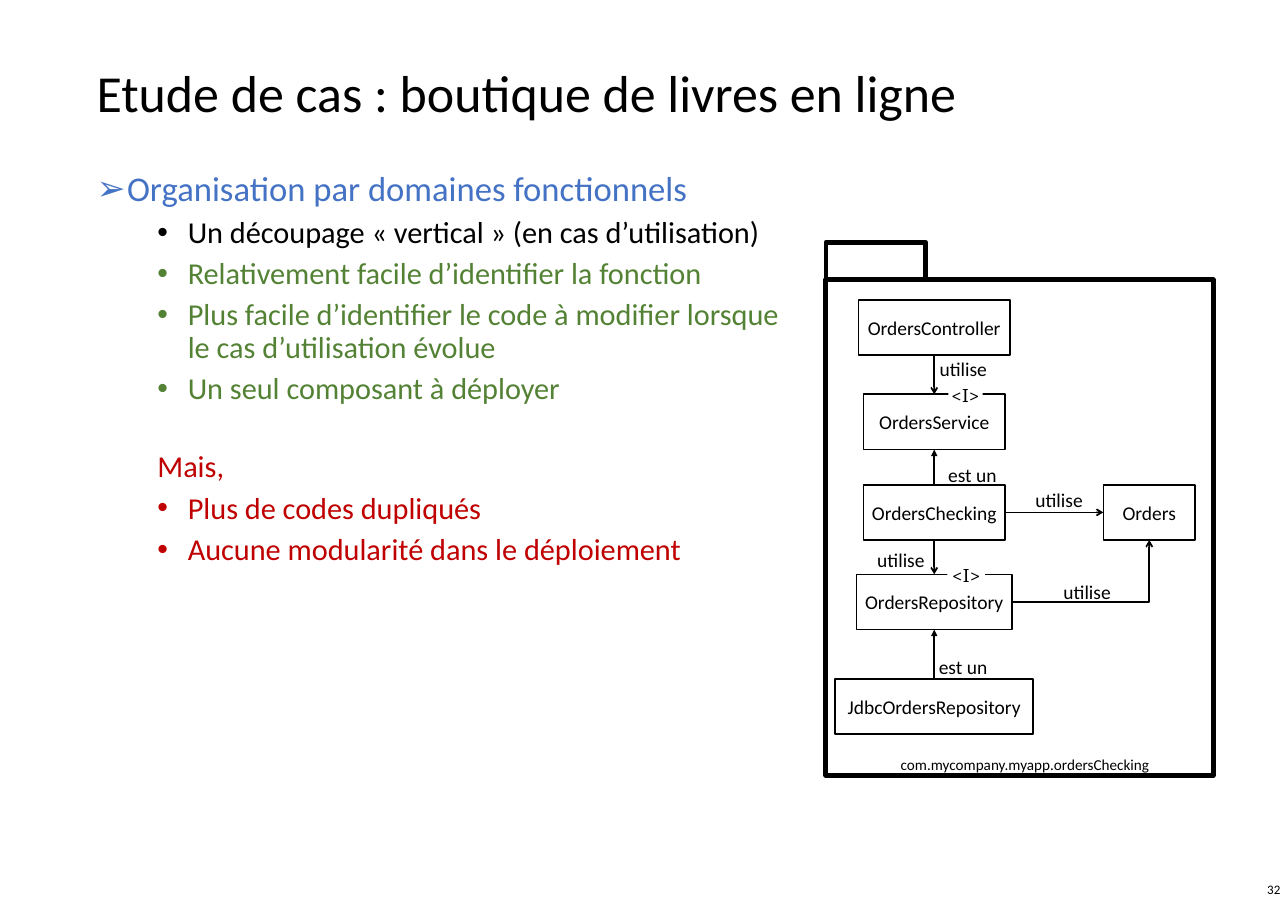
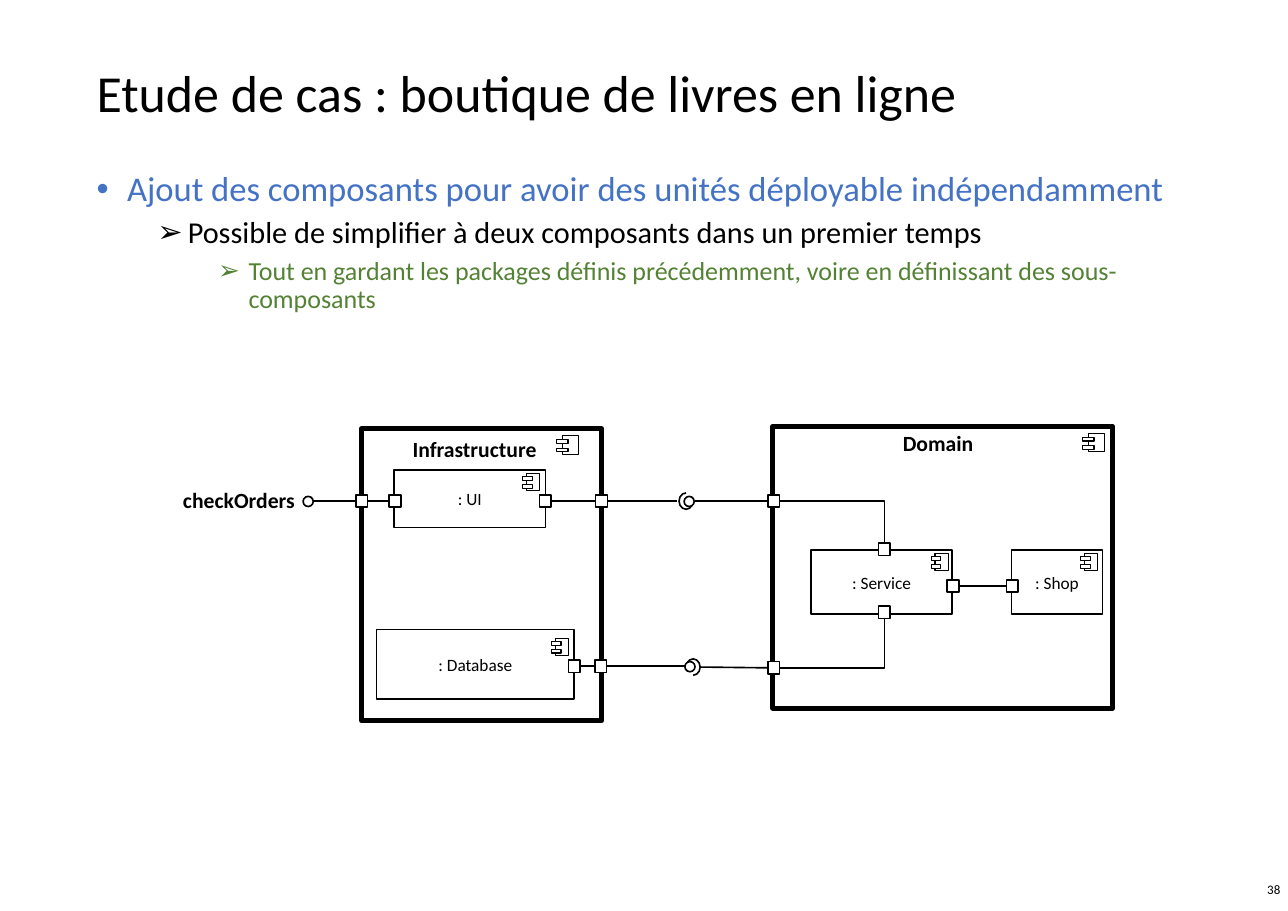
from lxml import etree
from pptx import Presentation
from pptx import util as u
from pptx.dml.color import RGBColor
from pptx.enum import shapes, text
from pptx.oxml.ns import qn

# Shared style: lengths are px, 100 to the inch
SCALE = 9144
WIDTH, HEIGHT = 1653, 1169
FONT, SYMBOL_FONT = "Calibri", "Cambria"
BLACK, WHITE, BLUE, GREEN, RED = "000000", "FFFFFF", "4472C4", "548235", "C00000"
TITLE = "Etude de cas : boutique de livres en ligne"
TITLE_AT = (114, 62, 1426, 122)
NUMBER_AT = (1281, 1110, 372, 62)
LEVEL_SIZES = (32, 28, 24)
LEVEL_STEP, HANG = 78, 39
THIN, NORMAL, THICK = 1, 1.5, 4.5
TOP, LEFT, BOTTOM, RIGHT = range(4)
RECT = shapes.MSO_SHAPE.RECTANGLE
FRAME = shapes.MSO_SHAPE.FLOWCHART_PROCESS
ALIGN = text.PP_ALIGN

# Slide 1: level, bullet, colour, text
DOMAIN_LIST = [
    (0, "➢", BLUE, "Organisation par domaines fonctionnels"),
    (1, "•", BLACK, "Un découpage « vertical » (en cas d’utilisation)"),
    (1, "•", GREEN, "Relativement facile d’identifier la fonction"),
    (1, "•", GREEN, "Plus facile d’identifier le code à modifier lorsque le cas d’utilisation évolue"),
    (1, "•", GREEN, "Un seul composant à déployer"),
    (1, None, RED, "Mais,"),
    (1, "•", RED, "Plus de codes dupliqués"),
    (1, "•", RED, "Aucune modularité dans le déploiement"),
]
CLASS_HEIGHT = 71
# name: centre x, top, width
CLASSES = {
    "OrdersController": (1199, 385, 194),
    "OrdersService": (1199, 506, 182),
    "OrdersChecking": (1199, 622, 182),
    "OrdersRepository": (1199, 737, 200),
    "JdbcOrdersRepository": (1199, 871, 254),
    "Orders": (1475, 622, 118),
}
INTERFACE_MARKS = [(1217, 491, 44, 30), (1216, 722, 48, 30)]
CLASS_LINKS = [
    (("OrdersController", BOTTOM), ("OrdersService", TOP), "arrow"),
    (("OrdersChecking", TOP), ("OrdersService", BOTTOM), "triangle"),
    (("OrdersChecking", BOTTOM), ("OrdersRepository", TOP), "arrow"),
    (("JdbcOrdersRepository", TOP), ("OrdersRepository", BOTTOM), "triangle"),
    (("OrdersChecking", RIGHT), ("Orders", LEFT), "arrow"),
    (("OrdersRepository", RIGHT), ("Orders", BOTTOM), "arrow"),
]
LINK_LABELS = [
    ("utilise", 1196, 453), ("est un", 1207, 589), ("utilise", 1116, 698),
    ("est un", 1195, 836), ("utilise", 1355, 739), ("utilise", 1319, 621),
]
PACKAGE_FRAMES = [(1060, 359, 497, 636), (1060, 311, 128, 48)]

# Slide 2
COMPONENT_LIST = [
    (0, "•", BLUE, "Ajout des composants pour avoir des unités déployable indépendamment"),
    (1, "➢", BLACK, "Possible de simplifier à deux composants dans un premier temps"),
    (2, "➢", GREEN, "Tout en gardant les packages définis précédemment, "
                    "voire en définissant des sous-composants"),
]
PARTS = [
    (": UI", (506, 603, 194, 74)),
    (": Service", (1041, 706, 181, 82)),
    (": Shop", (1298, 706, 117, 82)),
    (": Database", (483, 808, 254, 89)),
]
COMPONENT_FRAMES = [(464, 550, 308, 375), (992, 547, 436, 362)]
COMPONENT_NAMES = [("Infrastructure", (462, 555, 294, 44)), ("Domain", (981, 547, 446, 44))]
BIG_ICONS = [(722, 559), (1397, 556)]
SMALL_ICONS = [(676, 608), (713, 819), (1200, 710), (1392, 710)]
PORT_SIZE = (15, 16)
# name: centre
PORTS = {
    "infra in": (464, 643), "ui in": (507, 643),
    "ui out": (700, 643), "infra top": (772, 643),
    "database out": (737, 855), "infra bottom": (771, 855),
    "domain top": (993, 643), "domain bottom": (993, 857),
    "service top": (1135, 705), "service bottom": (1135, 786),
    "service right": (1223, 752), "shop left": (1299, 752),
}
PORT_LINKS = [
    ((402, 643), ("infra in", LEFT)),
    (("infra in", RIGHT), ("ui in", LEFT)),
    (("ui out", RIGHT), ("infra top", LEFT)),
    (("infra top", RIGHT), (869, 643)),
    ((892, 643), ("domain top", LEFT)),
    (("database out", RIGHT), ("infra bottom", LEFT)),
    (("infra bottom", RIGHT), (879, 855)),
    ((899, 856), ("domain bottom", LEFT)),
    (("service right", RIGHT), ("shop left", LEFT)),
    (("domain top", RIGHT), ("service top", TOP)),
    (("domain bottom", RIGHT), ("service bottom", BOTTOM)),
]
SOCKETS = [((870, 634, 21, 18), 270), ((879, 847, 21, 18), 90)]
SOCKET_START = 112.56
BALLS = [(878, 637), (879, 849), (389, 637)]
BALL_SIZE = 13


def px(*values):
    return [u.Emu(round(v * SCALE)) for v in values]


def rgb(color):
    return RGBColor.from_string(color)


def place(sp, box):
    sp.left, sp.top, sp.width, sp.height = px(*box)


def add_run(p, words, size, color=BLACK, bold=False, font=FONT):
    r = p.add_run()
    r.text = words
    r.font.size, r.font.name, r.font.bold = u.Pt(size), font, bold
    r.font.color.rgb = rgb(color)


def add_box(s, box, kind=RECT, fill=WHITE, line=NORMAL):
    sp = s.shapes.add_shape(kind, *px(*box))
    sp.shadow.inherit = False
    if fill:
        sp.fill.solid()
        sp.fill.fore_color.rgb = rgb(fill)
    else:
        sp.fill.background()
    if line:
        sp.line.color.rgb = rgb(BLACK)
        sp.line.width = u.Pt(line)
    else:
        sp.line.fill.background()
    return sp


def write(sp, words, size, align=ALIGN.CENTER, anchor=text.MSO_ANCHOR.MIDDLE, wrap=True, **style):
    tf = sp.text_frame
    tf.word_wrap, tf.vertical_anchor = wrap, anchor
    tf.paragraphs[0].alignment = align
    add_run(tf.paragraphs[0], words, size, **style)


def add_label(s, box, words, size, align=ALIGN.LEFT, wrap=False, anchor=text.MSO_ANCHOR.TOP, **style):
    write(s.shapes.add_textbox(*px(*box)), words, size, align, anchor, wrap, **style)


def site(sp, side):
    x, y = sp.left + sp.width // 2, sp.top + sp.height // 2
    return {TOP: (x, sp.top), LEFT: (sp.left, y),
            BOTTOM: (x, sp.top + sp.height), RIGHT: (sp.left + sp.width, y)}[side]


def add_link(s, named, start, end, tail=None):
    """Join two ends, each a (name, side) pair or a point."""
    glued = [isinstance(e[0], str) for e in (start, end)]
    a, b = [site(named[e[0]], e[1]) if g else px(*e) for e, g in zip((start, end), glued)]
    bent = glued[1] and start[1] == RIGHT and end[1] in (TOP, BOTTOM)
    kind = shapes.MSO_CONNECTOR.ELBOW if bent else shapes.MSO_CONNECTOR.STRAIGHT
    c = s.shapes.add_connector(kind, *a, *b)
    if glued[0]:
        c.begin_connect(named[start[0]], start[1])
    if glued[1]:
        c.end_connect(named[end[0]], end[1])
    c.line.color.rgb = rgb(BLACK)
    c.line.width = u.Pt(NORMAL)
    spPr = c._element.spPr
    if bent:
        spPr.find(qn("a:prstGeom")).set("prst", "bentConnector2")
    if tail:
        etree.SubElement(spPr.find(qn("a:ln")), qn("a:tailEnd"), type=tail)
    etree.SubElement(spPr, qn("a:effectLst"))


def fill_list(body, items):
    tf = body.text_frame
    tf.auto_size, tf.word_wrap = text.MSO_AUTO_SIZE.NONE, True
    for i, (level, bullet, color, words) in enumerate(items):
        p = tf.paragraphs[0] if i == 0 else tf.add_paragraph()
        p.level, p.line_spacing = level, 0.9
        # An unbulleted line opens a new group
        p.space_before = u.Pt(0 if i == 0 else 7.8 if bullet else 42)
        pPr = p._p.get_or_add_pPr()
        hang = HANG if bullet else 0
        margin, indent = px(LEVEL_STEP * level + hang, -hang)
        pPr.set("marL", str(margin))
        pPr.set("indent", str(indent))
        if bullet:
            etree.SubElement(pPr, qn("a:buChar"), char=bullet)
        else:
            etree.SubElement(pPr, qn("a:buNone"))
        add_run(p, words, LEVEL_SIZES[level], color)


def add_slide(prs, number, items, body_box):
    s = prs.slides.add_slide(prs.slide_layouts[1])
    title, body = s.placeholders
    place(title, TITLE_AT)
    write(title, TITLE, 48, ALIGN.LEFT)
    title.text_frame.paragraphs[0].line_spacing = 0.9
    place(body, body_box)
    fill_list(body, items)
    add_label(s, NUMBER_AT, number, 12, ALIGN.RIGHT, True, text.MSO_ANCHOR.MIDDLE)
    return s


def add_icon(s, x, y, body, tab, tab_offsets):
    add_box(s, (x, y, *body), line=THIN)
    for dx, dy in tab_offsets:
        add_box(s, (x + dx, y + dy, *tab), line=THIN)


def build_package_slide(prs):
    s = add_slide(prs, "32", DOMAIN_LIST, (114, 215, 917, 863))
    named = {}
    for name, (x, y, w) in CLASSES.items():
        named[name] = add_box(s, (x - w / 2, y, w, CLASS_HEIGHT))
        write(named[name], name, 18)
    for link in CLASS_LINKS:
        add_link(s, named, *link)
    for box in INTERFACE_MARKS:
        sp = add_box(s, box, line=None)
        tf = sp.text_frame
        tf.margin_left = tf.margin_right = tf.margin_top = tf.margin_bottom = 0
        write(sp, "<I>", 18, anchor=text.MSO_ANCHOR.TOP, font=SYMBOL_FONT)
    for words, x, y in LINK_LABELS:
        add_label(s, (x, y, 82, 40), words, 18)
    for box in PACKAGE_FRAMES:
        add_box(s, box, FRAME, None, THICK)
    add_label(s, (1146, 964, 342, 34), "com.mycompany.myapp.ordersChecking", 14)


def build_component_slide(prs):
    s = add_slide(prs, "38", COMPONENT_LIST, (114, 215, 1426, 838))
    for words, box in PARTS:
        write(add_box(s, box), words, 16)
    for box in COMPONENT_FRAMES:
        add_box(s, box, FRAME, None, THICK)
    for words, box in COMPONENT_NAMES:
        add_label(s, box, words, 20, ALIGN.CENTER, True, bold=True)
    add_label(s, (225, 620, 165, 44), "checkOrders", 20, bold=True)
    # Component icons
    for x, y in BIG_ICONS:
        add_icon(s, x, y, (21, 24), (15, 5), [(-8, 16), (-8, 5)])
    for x, y in SMALL_ICONS:
        add_icon(s, x, y, (17, 22), (12, 5), [(-5, 14), (-5, 4)])
    # Ports and their links
    w, h = PORT_SIZE
    named = {name: add_box(s, (x - w / 2, y - h / 2, w, h)) for name, (x, y) in PORTS.items()}
    for link in PORT_LINKS:
        add_link(s, named, *link)
    # Sockets and balls
    for box, turn in SOCKETS:
        sp = add_box(s, box, shapes.MSO_SHAPE.ARC, None)
        sp.adjustments[0] = SOCKET_START * 0.6  # degrees in 60000ths, over 100000
        sp.rotation = turn
    for x, y in BALLS:
        add_box(s, (x, y, BALL_SIZE, BALL_SIZE), shapes.MSO_SHAPE.OVAL)


def main():
    prs = Presentation()
    prs.slide_width, prs.slide_height = px(WIDTH, HEIGHT)
    build_package_slide(prs)
    build_component_slide(prs)
    prs.save("out.pptx")


if __name__ == "__main__":
    main()
